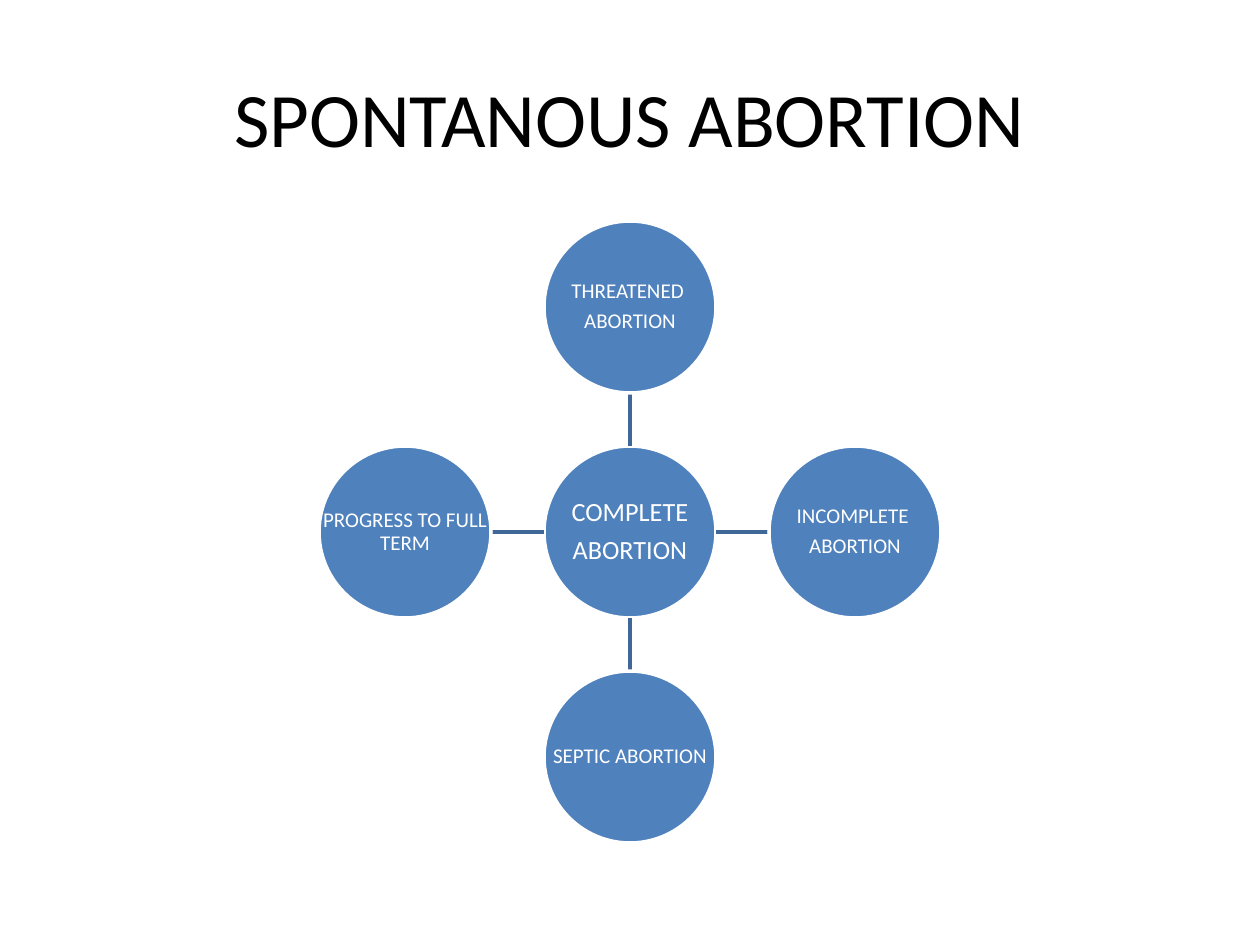
"""Build a slide with a hub circle joined to four outer circles."""
from pptx import Presentation
from pptx.dml.color import RGBColor
from pptx.enum.shapes import MSO_CONNECTOR, MSO_SHAPE
from pptx.enum.text import MSO_ANCHOR, PP_ALIGN
from pptx.oxml.ns import qn
from pptx.util import Emu, Pt
from lxml.etree import SubElement

TITLE = "SPONTANOUS ABORTION"
HUB = ["COMPLETE", "ABORTION"]
OUTER = [
    ((0, -1), ["THREATENED ", "ABORTION"]),
    ((1, 0), ["INCOMPLETE ", "ABORTION"]),
    ((0, 1), ["SEPTIC ABORTION"]),
    ((-1, 0), ["PROGRESS TO FULL TERM"]),
]
FONT = "Calibri"
BLUE, DARK_BLUE, WHITE, BLACK = "4F81BD", "3F6797", "FFFFFF", "000000"
CENTER_X, CENTER_Y = 630, 532
DIAMETER, DISTANCE = 172, 225


def px(value):
    return Emu(round(value * 914400 / 126))


def color(value):
    return RGBColor.from_string(value)


def add_text(slide, box, lines, size, text_color, inset, line_spacing=1, gap=0):
    text_box = slide.shapes.add_textbox(*map(px, box))
    frame = text_box.text_frame
    frame.word_wrap = True
    frame.vertical_anchor = MSO_ANCHOR.MIDDLE
    frame.margin_left = frame.margin_right = px(inset)
    frame.margin_top = frame.margin_bottom = px(inset)
    for index, line in enumerate(lines):
        paragraph = frame.add_paragraph() if index else frame.paragraphs[0]
        paragraph.alignment = PP_ALIGN.CENTER
        paragraph.line_spacing = line_spacing
        paragraph.space_after = Pt(size * gap)
        run = paragraph.add_run()
        run.text = line
        run.font.name = FONT
        run.font.size = Pt(size)
        run.font.color.rgb = color(text_color)


def add_circle(slide, center_x, center_y, lines, size):
    box = (center_x - DIAMETER / 2, center_y - DIAMETER / 2, DIAMETER, DIAMETER)
    circle = slide.shapes.add_shape(MSO_SHAPE.OVAL, *map(px, box))
    circle.shadow.inherit = False
    circle.fill.solid()
    circle.fill.fore_color.rgb = color(BLUE)
    circle.line.color.rgb = color(WHITE)
    circle.line.width = Pt(2)
    add_text(slide, box, lines, size, WHITE, 1, 0.9, 0.35)


def add_spoke(slide, step_x, step_y):
    near, far = DIAMETER / 2, DISTANCE - DIAMETER / 2
    spoke = slide.shapes.add_connector(
        MSO_CONNECTOR.STRAIGHT,
        px(CENTER_X + step_x * near), px(CENTER_Y + step_y * near),
        px(CENTER_X + step_x * far), px(CENTER_Y + step_y * far),
    )
    spoke.line.color.rgb = color(DARK_BLUE)
    spoke.line.width = Pt(2)
    SubElement(spoke._element.spPr, qn("a:effectLst"))


def main():
    presentation = Presentation()
    presentation.slide_width, presentation.slide_height = px(1260), px(945)
    slide = presentation.slides.add_slide(presentation.slide_layouts[6])
    add_text(slide, (63, 38, 1134, 158), [TITLE], 44, BLACK, 6)
    add_circle(slide, CENTER_X, CENTER_Y, HUB, 15)
    for (step_x, step_y), lines in OUTER:
        add_spoke(slide, step_x, step_y)
        add_circle(slide, CENTER_X + step_x * DISTANCE,
                   CENTER_Y + step_y * DISTANCE, lines, 12)
    presentation.save("out.pptx")


if __name__ == "__main__":
    main()
